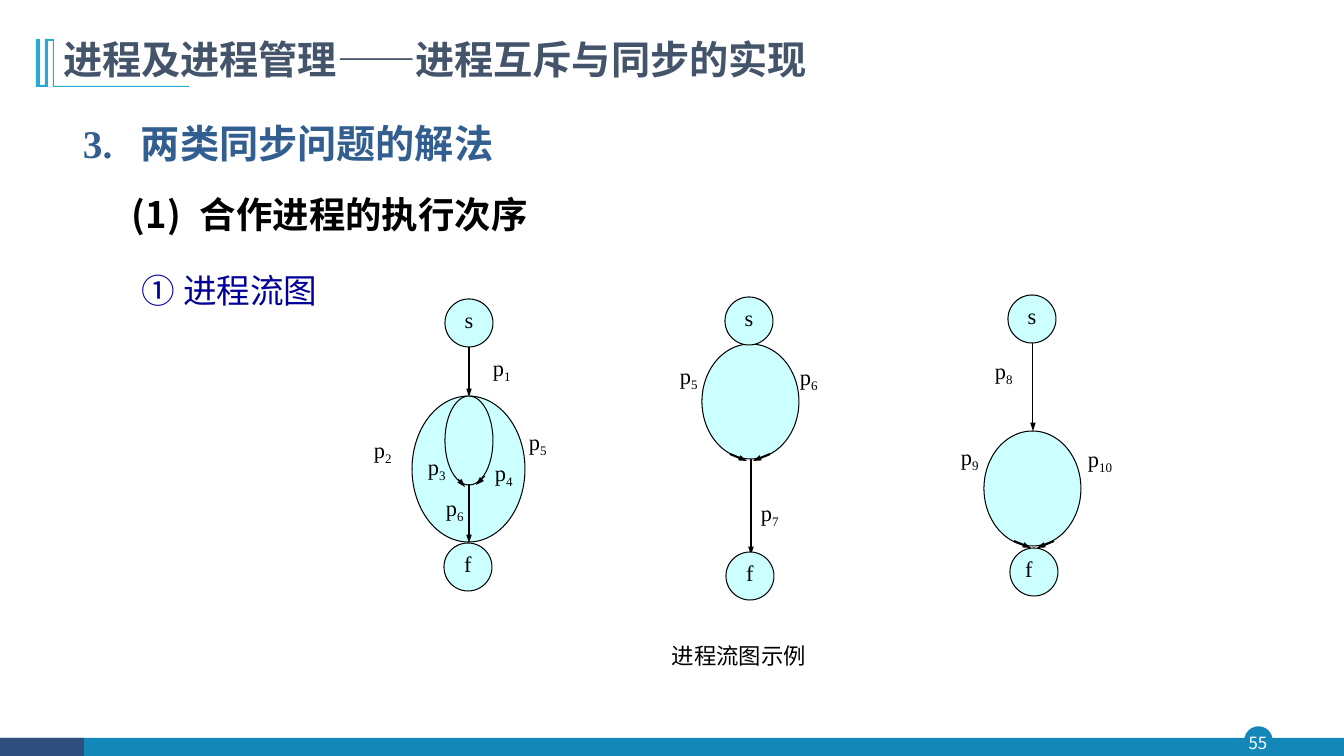
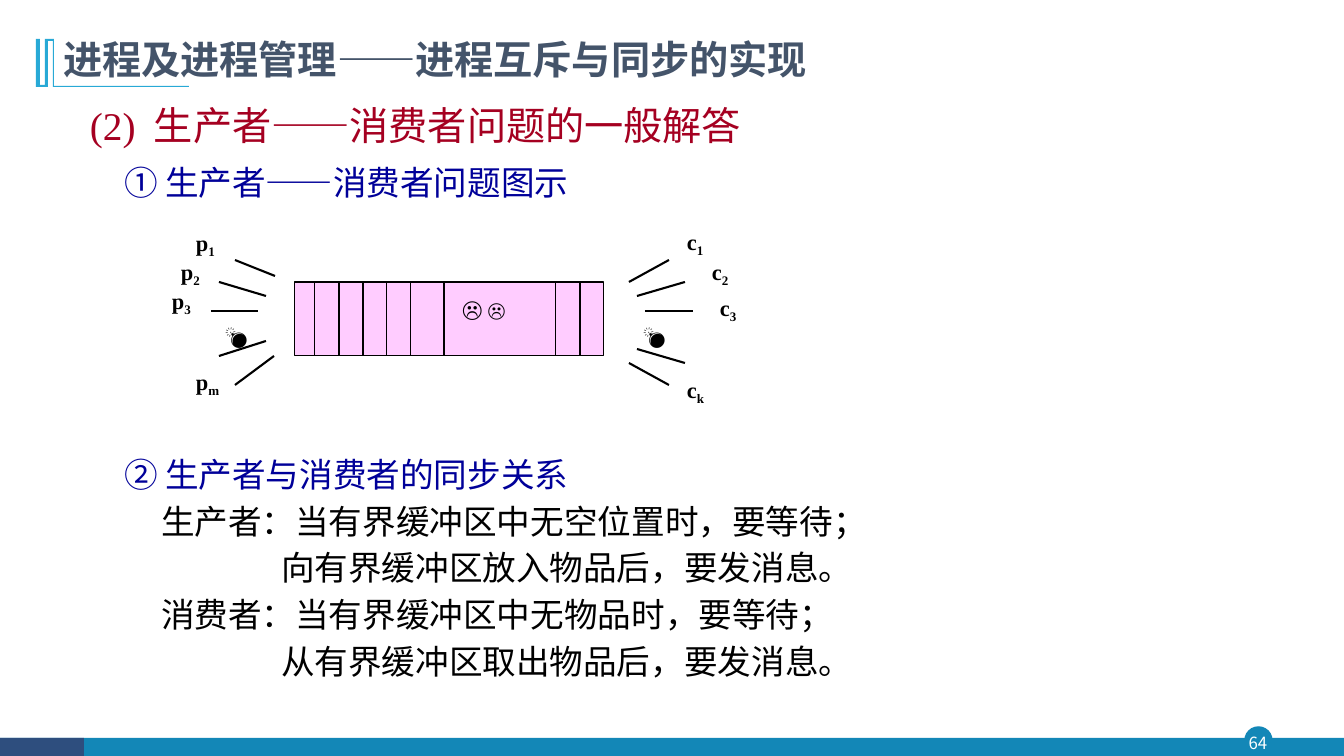
from lxml import etree
from pptx import Presentation
from pptx.dml.color import RGBColor
from pptx.enum.shapes import MSO_CONNECTOR, MSO_SHAPE
from pptx.enum.text import MSO_ANCHOR, PP_ALIGN
from pptx.oxml.ns import qn
from pptx.util import Emu, Pt

WIDTH, HEIGHT = 1344, 756
SCALE = 12192000 / WIDTH

BLACK = RGBColor(0x00, 0x00, 0x00)
WHITE = RGBColor(0xFF, 0xFF, 0xFF)
TEAL = RGBColor(0x13, 0x87, 0xB7)
NAVY = RGBColor(0x2E, 0x4E, 0x7E)
SKY = RGBColor(0x28, 0xA9, 0xD6)
SLATE = RGBColor(0x44, 0x54, 0x6A)
STEEL = RGBColor(0x33, 0x5F, 0x90)
BLUE = RGBColor(0x00, 0x00, 0x99)
CRIMSON = RGBColor(0xA5, 0x00, 0x21)
AQUA = RGBColor(0xCC, 0xFF, 0xFF)
PINK = RGBColor(0xFF, 0xCC, 0xFF)

SERIF = "Times New Roman"
SANS = "Noto Sans CJK SC"
TITLE = "进程及进程管理——进程互斥与同步的实现"
TITLE_MARK = [(54, 39), (54, 86), (189, 86), (189, 87), (53, 87), (53, 41),
              (48, 41), (48, 87), (36, 87), (36, 39), (40, 39), (40, 85),
              (45, 85), (45, 39)]


def px(length):
    return Emu(round(length * SCALE))


def write(paragraph, text, *, size=16, color=BLACK, font=SERIF, bold=False,
          baseline=0, margin=0, indent=0, before=0, align=PP_ALIGN.LEFT,
          spacing=1.0):
    """Append one run to a paragraph and format both."""
    paragraph.alignment = align
    paragraph.line_spacing = spacing
    if before:
        paragraph.space_before = Pt(before)
    if margin or indent:
        properties = paragraph._p.get_or_add_pPr()
        properties.set("marL", str(px(margin)))
        properties.set("indent", str(px(indent)))
    run = paragraph.add_run()
    run.text = text
    run.font.size = Pt(size)
    run.font.bold = bold
    run.font.name = font
    run.font.color.rgb = color
    run_properties = run._r.get_or_add_rPr()
    if baseline:
        run_properties.set("baseline", str(baseline * 1000))
    east_asian = etree.SubElement(run_properties, qn("a:ea"))
    east_asian.set("typeface", SANS)


class Deck:
    def __init__(self):
        self.file = Presentation()
        self.file.slide_width = px(WIDTH)
        self.file.slide_height = px(HEIGHT)
        self.slide = None

    def new_slide(self, number):
        """Start a slide with the shared footer, title mark and title."""
        self.slide = self.file.slides.add_slide(self.file.slide_layouts[6])
        self.shape(MSO_SHAPE.OVAL, 1245, 727, 27, 27, TEAL, TEAL, 1)
        self.shape(MSO_SHAPE.RECTANGLE, 0, 738, WIDTH, 18, TEAL)
        self.shape(MSO_SHAPE.RECTANGLE, 0, 738, 84, 18, NAVY)
        page = self.box(1242, 727, 32, 31, (0, 0), MSO_ANCHOR.MIDDLE)
        write(page, str(number), size=12, color=WHITE, font=SANS,
              align=PP_ALIGN.CENTER)
        builder = self.slide.shapes.build_freeform(*TITLE_MARK[0], scale=SCALE)
        builder.add_line_segments(TITLE_MARK[1:], close=True)
        self.paint(builder.convert_to_shape(), SKY)
        title = self.box(53, 34, 1057, 56, anchor=MSO_ANCHOR.MIDDLE)
        write(title, TITLE, size=28, color=SLATE, font=SANS, bold=True,
              spacing=0.9)

    def paint(self, shape, fill, line=None, weight=0.75):
        shape.shadow.inherit = False
        shape.fill.solid()
        shape.fill.fore_color.rgb = fill
        if line is None:
            shape.line.fill.background()
        else:
            shape.line.color.rgb = line
            shape.line.width = Pt(weight)
        return shape

    def shape(self, preset, left, top, width, height, fill, line=None,
              weight=0.75):
        shape = self.slide.shapes.add_shape(
            preset, px(left), px(top), px(width), px(height))
        return self.paint(shape, fill, line, weight)

    def oval(self, left, top, width, height):
        return self.shape(MSO_SHAPE.OVAL, left, top, width, height, AQUA, BLACK)

    def node(self, left, top, letter, right_inset=0):
        """A start or finish circle with its letter."""
        frame = self.oval(left, top, 48, 48).text_frame
        frame.margin_left = frame.margin_top = frame.margin_bottom = 0
        frame.margin_right = px(right_inset)
        frame.vertical_anchor = MSO_ANCHOR.TOP
        write(frame.paragraphs[0], letter, align=PP_ALIGN.CENTER)

    def line(self, x1, y1, x2, y2, weight=0.75, arrow=False):
        connector = self.slide.shapes.add_connector(
            MSO_CONNECTOR.STRAIGHT, px(x1), px(y1), px(x2), px(y2))
        connector.line.color.rgb = BLACK
        connector.line.width = Pt(weight)
        if arrow:
            head = etree.SubElement(connector.line._get_or_add_ln(),
                                    qn("a:tailEnd"))
            head.set("type", "triangle")
            head.set("w", "sm")
            head.set("len", "med")
        etree.SubElement(connector._element.spPr, qn("a:effectLst"))

    def box(self, left, top, width, height, inset=(10, 5),
            anchor=MSO_ANCHOR.TOP):
        """Add a text box and return its first paragraph."""
        frame = self.slide.shapes.add_textbox(
            px(left), px(top), px(width), px(height)).text_frame
        frame.word_wrap = True
        frame.margin_left = frame.margin_right = px(inset[0])
        frame.margin_top = frame.margin_bottom = px(inset[1])
        frame.vertical_anchor = anchor
        return frame.paragraphs[0]

    def text(self, left, top, width, height, *paragraphs):
        """Each paragraph is a pair of its text and its format."""
        paragraph = self.box(left, top, width, height)
        frame = paragraph._parent
        for index, (content, style) in enumerate(paragraphs):
            if index:
                paragraph = frame.add_paragraph()
            write(paragraph, content, **style)

    def label(self, left, top, letter, subscript, bold=False):
        paragraph = self.box(left, top, 60, 37)
        write(paragraph, letter, bold=bold)
        write(paragraph, subscript, bold=bold, baseline=-25)


def flow_slide(deck):
    deck.new_slide(55)
    deck.text(73, 114, 926, 144,
              ("3.\t两类同步问题的解法",
               dict(size=28, color=STEEL, bold=True, margin=58, indent=-58)),
              ("(1)\t合作进程的执行次序",
               dict(size=26, font=SANS, bold=True, margin=117, indent=-68,
                    before=18.5)))
    deck.text(132, 265, 354, 58, ("① 进程流图", dict(size=24, color=BLUE)))

    # Process ovals
    for oval in [(412, 396, 113, 146), (445, 396, 48, 89),
                 (702, 344, 97, 115), (984, 431, 97, 115)]:
        deck.oval(*oval)

    # Vertical steps: x, start, end, weight
    for x, start, end, weight in [(469, 345, 397, 1), (469, 484, 543, 1),
                                  (751, 459, 555, 0.75),
                                  (1033, 343, 431, 0.75)]:
        deck.line(x, start, x, end, weight, arrow=True)

    # Arrows where branches join
    deck.line(458, 479, 465, 487, arrow=True)
    deck.line(485, 476, 476, 485, arrow=True)
    for center, top in [(750, 454), (1034, 541)]:
        for side in (-1, 1):
            deck.line(center + side * 20, top, center + side * 3, top + 7,
                      1.5, arrow=True)

    # Start and finish nodes
    for left, top, letter, right_inset in [
            (445, 299, "s", 0), (444, 543, "f", 0), (725, 297, "s", 0),
            (726, 552, "f", 0), (1008, 295, "s", 0), (1010, 548, "f", 10)]:
        deck.node(left, top, letter, right_inset)

    # Process names
    for left, top, number in [
            (483, 349, 1), (364, 431, 2), (418, 448, 3), (485, 454, 4),
            (519, 423, 5), (436, 489, 6), (670, 357, 5), (790, 358, 6),
            (751, 494, 7), (985, 352, 8), (951, 438, 9), (1078, 440, 10)]:
        deck.label(left, top, "p", str(number))
    deck.text(662, 637, 207, 42, ("进程流图示例", dict(size=16)))


def buffer_slide(deck):
    deck.new_slide(64)
    heading = dict(size=24, color=BLUE)
    deck.text(80, 96, 926, 67,
              ("(2)\t生产者——消费者问题的一般解答",
               dict(size=28, color=CRIMSON, margin=64, indent=-64)))
    deck.text(114, 157, 682, 58, ("① 生产者——消费者问题图示", heading))

    # Synchronisation rules
    role = dict(size=24, margin=37, before=4.5)
    follow_up = dict(role, margin=157)
    deck.text(114, 449, 869, 284,
              ("② 生产者与消费者的同步关系", heading),
              ("生产者：当有界缓冲区中无空位置时，要等待；", role),
              ("向有界缓冲区放入物品后，要发消息。", follow_up),
              ("消费者：当有界缓冲区中无物品时，要等待；", role),
              ("从有界缓冲区取出物品后，要发消息。", follow_up))

    # Bounded buffer
    deck.shape(MSO_SHAPE.RECTANGLE, 295, 282, 309, 74, PINK, BLACK)
    for x in [*range(315, 412, 24), 444, 556, 580]:
        deck.line(x, 282, x, 356)
    items = deck.box(452, 290, 109, 37)
    write(items, "☹ ", font=SANS, bold=True)
    write(items, "☹", size=14, font="Arial", bold=True)

    # Producer and consumer spokes
    for spoke in [(235, 260, 275, 276), (219, 282, 266, 296),
                  (211, 311, 258, 311), (219, 356, 266, 341),
                  (235, 385, 274, 356), (629, 282, 669, 260),
                  (637, 296, 685, 282), (645, 311, 693, 311),
                  (637, 349, 685, 363), (629, 363, 669, 385)]:
        deck.line(*spoke, weight=1.5)

    # Producer and consumer names
    for left, top, letter, subscript in [
            (186, 224, "p", "1"), (171, 253, "p", "2"), (162, 282, "p", "3"),
            (186, 363, "p", "m"), (677, 223, "c", "1"), (702, 253, "c", "2"),
            (710, 289, "c", "3"), (677, 371, "c", "k")]:
        deck.label(left, top, letter, subscript, bold=True)
    for left in (215, 633):
        deck.text(left, 317, 48, 37, ("💣", dict(bold=True)))


def main():
    deck = Deck()
    flow_slide(deck)
    buffer_slide(deck)
    deck.file.save("out.pptx")


if __name__ == "__main__":
    main()
